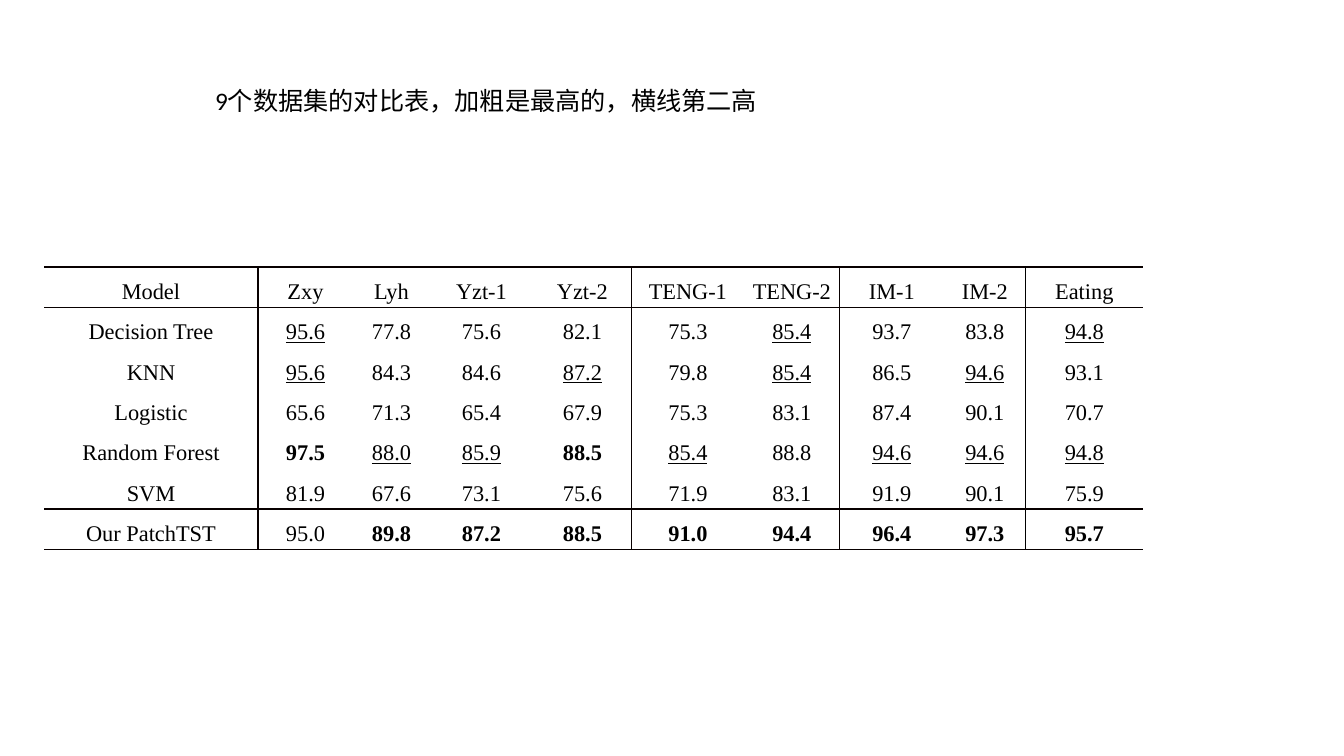
from dataclasses import dataclass

from lxml import etree
from pptx import Presentation
from pptx import util as u
from pptx.dml.color import RGBColor
from pptx.enum import text
from pptx.oxml import ns

EMU_PER_PX = 914400 / 100.8
BLACK = RGBColor(0x00, 0x00, 0x00)
RULE = RGBColor(0x08, 0x00, 0x00)
PLAIN_STYLE = "{2D5ABB26-0587-4C30-8999-92F81FD0307C}"

TITLE = "9个数据集的对比表，加粗是最高的，横线第二高"
COLUMN_WIDTHS = (214, 95, 77, 103, 99, 112, 96, 104, 82, 117)
RULES_AFTER_COLUMN = {0: RULE, 4: RULE, 6: RULE, 8: BLACK}
RULES_AFTER_ROW = {-1: RULE, 0: RULE, 5: RULE, 6: RULE}


@dataclass(frozen=True)
class ModelRow:
    model: str
    scores: str
    bold: tuple[int, ...] = ()
    underlined: tuple[int, ...] = ()


ROWS = (
    ModelRow("Model", "Zxy Lyh Yzt-1 Yzt-2 TENG-1 TENG-2 IM-1 IM-2 Eating"),
    ModelRow("Decision Tree", "95.6 77.8 75.6 82.1 75.3 85.4 93.7 83.8 94.8",
             underlined=(1, 6, 9)),
    ModelRow("KNN", "95.6 84.3 84.6 87.2 79.8 85.4 86.5 94.6 93.1",
             underlined=(1, 4, 6, 8)),
    ModelRow("Logistic", "65.6 71.3 65.4 67.9 75.3 83.1 87.4 90.1 70.7"),
    ModelRow("Random Forest", "97.5 88.0 85.9 88.5 85.4 88.8 94.6 94.6 94.8",
             bold=(1, 4), underlined=(2, 3, 5, 7, 8, 9)),
    ModelRow("SVM", "81.9 67.6 73.1 75.6 71.9 83.1 91.9 90.1 75.9"),
    ModelRow("Our PatchTST", "95.0 89.8 87.2 88.5 91.0 94.4 96.4 97.3 95.7",
             bold=tuple(range(2, 10))),
)


def px(length: int) -> u.Emu:
    return u.Emu(round(length * EMU_PER_PX))


def apply_format(target, values: dict) -> None:
    for name, value in values.items():
        setattr(target, name, value)


def write_text(para, content: str, font: dict) -> None:
    span = para.add_run()
    span.text = content
    apply_format(span.font, font)
    span.font.color.rgb = BLACK


def draw_borders(cell, row: int, column: int) -> None:
    borders = {
        "a:lnL": RULES_AFTER_COLUMN.get(column - 1),
        "a:lnR": RULES_AFTER_COLUMN.get(column),
        "a:lnT": RULES_AFTER_ROW.get(row - 1),
        "a:lnB": RULES_AFTER_ROW.get(row),
    }
    properties = cell._tc.get_or_add_tcPr()
    for position, (tag, color) in enumerate(borders.items()):
        line = etree.Element(ns.qn(tag), w=str(u.Pt(1)))
        if color is None:
            etree.SubElement(line, ns.qn("a:noFill"))
        else:
            fill = etree.SubElement(line, ns.qn("a:solidFill"))
            etree.SubElement(fill, ns.qn("a:srgbClr"), val=str(color))
        properties.insert(position, line)


def draw_title(page) -> None:
    title = page.shapes.title
    apply_format(title, {"left": px(205), "top": px(80),
                         "width": px(683), "height": px(40)})
    apply_format(title.text_frame, {
        "word_wrap": True,
        "auto_size": text.MSO_AUTO_SIZE.SHAPE_TO_FIT_TEXT,
        "vertical_anchor": text.MSO_ANCHOR.TOP,
    })
    para = title.text_frame.paragraphs[0]
    para.alignment = text.PP_ALIGN.LEFT
    write_text(para, TITLE, {"name": "Calibri", "size": u.Pt(18)})


def draw_table(page) -> None:
    table = page.shapes.add_table(
        len(ROWS), len(COLUMN_WIDTHS), px(44), px(267),
        px(sum(COLUMN_WIDTHS)), px(282)).table
    apply_format(table, {"first_row": False, "horz_banding": False})
    table._tbl.tblPr[0].text = PLAIN_STYLE
    for column, width in zip(table.columns, COLUMN_WIDTHS):
        column.width = px(width)
    for row, record in enumerate(ROWS):
        for column, content in enumerate((record.model, *record.scores.split())):
            cell = table.cell(row, column)
            apply_format(cell, {"margin_left": px(7), "margin_right": px(7),
                                "margin_top": 0, "margin_bottom": 0})
            cell.fill.background()
            draw_borders(cell, row, column)
            para = cell.text_frame.paragraphs[0]
            apply_format(para, {"alignment": text.PP_ALIGN.CENTER,
                                "line_spacing": 1.5})
            write_text(para, content, {
                "name": "Times New Roman",
                "size": u.Pt(16),
                "bold": column in record.bold,
                "underline": column in record.underlined,
            })


def main() -> None:
    deck = Presentation()
    apply_format(deck, {"slide_width": px(1344), "slide_height": px(756)})
    page = deck.slides.add_slide(deck.slide_layouts.get_by_name("Title Only"))
    draw_table(page)
    draw_title(page)
    deck.save("out.pptx")


if __name__ == "__main__":
    main()
